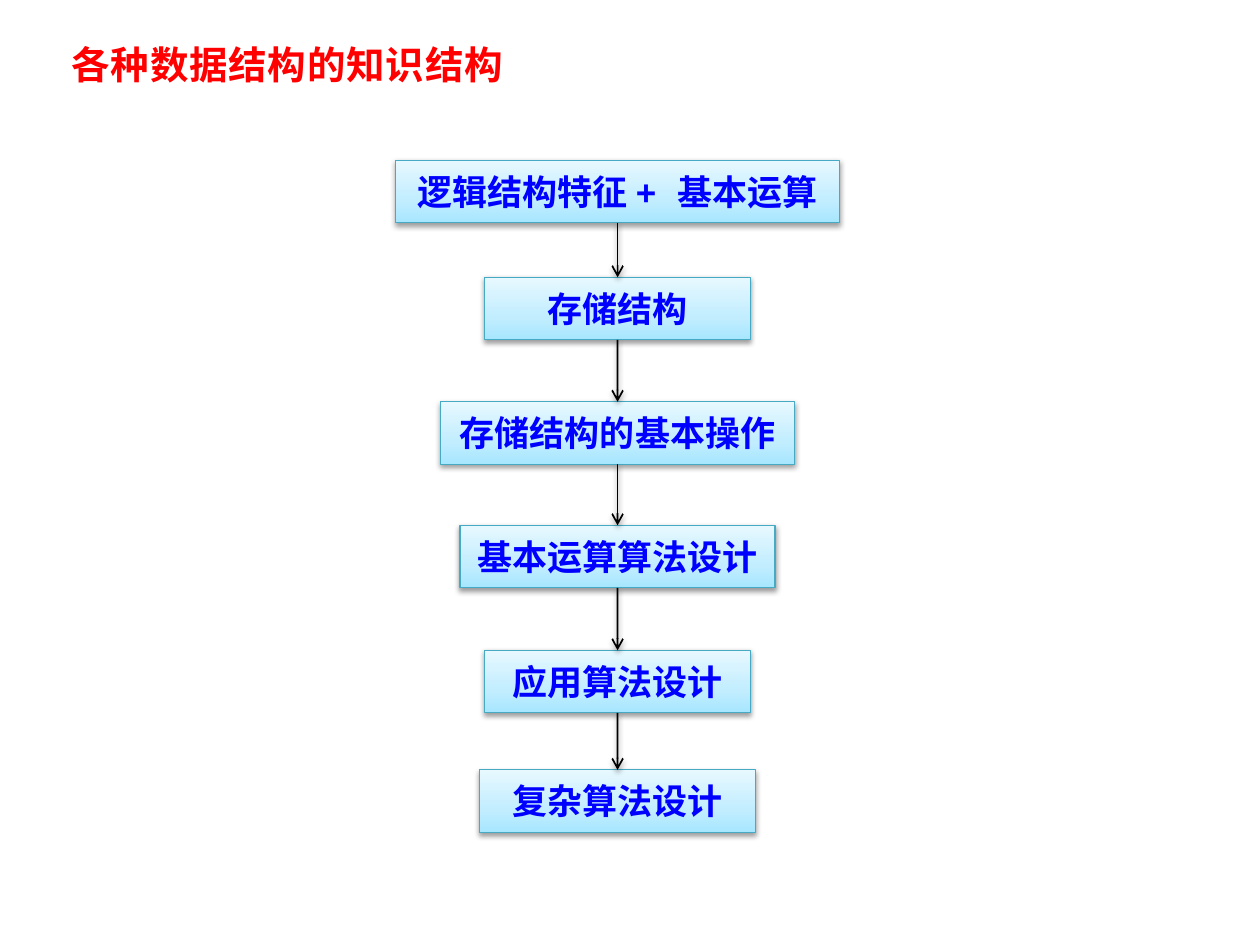
import copy

import pptx
import pptx.util
import pptx.dml.color
import pptx.enum.shapes
import pptx.enum.text
import pptx.oxml
import pptx.oxml.ns

Cm, Pt = pptx.util.Cm, pptx.util.Pt
RGB = pptx.dml.color.RGBColor.from_string
qn = pptx.oxml.ns.qn

COLORS = {
    "title": "FF0000", "text": "0000FF", "edge": "46AAC5", "arrow": "000000",
    "low": "A7E6FF", "mid": "C1EDFF", "high": "E7F8FF",
}
STOPS = [(0, "low"), (0.35, "mid"), (1, "high")]
MID = 12.45
HIGH = 1.26
STEPS = [  # text, top, width
    ("逻辑结构特征 + 基本运算", 3.23, 8.94),
    ("存储结构", 5.59, 5.36),
    ("存储结构的基本操作", 8.1, 7.14),
    ("基本运算算法设计", 10.59, 6.35),
    ("应用算法设计", 13.11, 5.36),
    ("复杂算法设计", 15.52, 5.56),
]


def style(par, size, face, color):
    """Format every run of a paragraph, East Asian face included."""
    for run in par.runs:
        font = run.font
        font.size, font.bold, font.name = Pt(size), True, face
        font.color.rgb = RGB(COLORS[color])
        east = font._element.makeelement(qn("a:ea"), {"typeface": "Noto Sans CJK SC"})
        font._element.append(east)


def shade(shape):
    """Give a shape or connector a soft shadow straight below it."""
    shape._element.spPr.append(pptx.oxml.parse_xml(
        f'<a:effectLst {pptx.oxml.ns.nsdecls("a")}>'
        f'<a:outerShdw blurRad="{Pt(3.1)}" dist="{Pt(1.6)}" dir="5400000" rotWithShape="0">'
        '<a:srgbClr val="000000"><a:alpha val="38000"/></a:srgbClr>'
        '</a:outerShdw></a:effectLst>'))


deck = pptx.Presentation()
deck.slide_width, deck.slide_height = Cm(25.4), Cm(19.05)
slide = deck.slides.add_slide(deck.slide_layouts[5])

title = slide.shapes.title
title.left, title.top, title.width, title.height = Cm(1.19), Cm(0.58), Cm(9.93), Cm(1.24)
frame = title.text_frame
frame.text = "各种数据结构的知识结构"
frame.auto_size = pptx.enum.text.MSO_AUTO_SIZE.NONE
frame.vertical_anchor = pptx.enum.text.MSO_ANCHOR.TOP
par = frame.paragraphs[0]
par.alignment = pptx.enum.text.PP_ALIGN.LEFT
par.line_spacing = Pt(30)
style(par, 22, "Noto Sans CJK SC", "title")
par.runs[0].font._element.set("spc", "50")

boxes = []
for text, top, width in STEPS:
    box = slide.shapes.add_shape(
        pptx.enum.shapes.MSO_SHAPE.RECTANGLE,
        Cm(MID - width / 2), Cm(top), Cm(width), Cm(HIGH))
    box.fill.gradient()
    box.fill.gradient_angle = 90
    stops = box._element.spPr.find(".//" + qn("a:gsLst"))
    stops.append(copy.deepcopy(stops[-1]))
    for stop, (place, color) in zip(box.fill.gradient_stops, STOPS):
        stop.position = place
        stop.color.rgb = RGB(COLORS[color])
    box.line.color.rgb = RGB(COLORS["edge"])
    box.line.width = Pt(0.75)
    shade(box)
    frame = box.text_frame
    frame.text = text
    frame.word_wrap = True
    frame.margin_left = frame.margin_right = Cm(0.25)
    frame.margin_top = frame.margin_bottom = Cm(0.2)
    frame.vertical_anchor = pptx.enum.text.MSO_ANCHOR.TOP
    par = frame.paragraphs[0]
    par.alignment = pptx.enum.text.PP_ALIGN.CENTER
    style(par, 20, "Courier New", "text")
    boxes.append(box)

for upper, lower in zip(boxes, boxes[1:]):
    arrow = slide.shapes.add_connector(
        pptx.enum.shapes.MSO_CONNECTOR.STRAIGHT, 0, 0, 0, 0)
    arrow.begin_connect(upper, 2)
    arrow.end_connect(lower, 0)
    arrow.line.color.rgb = RGB(COLORS["arrow"])
    arrow.line.width = Pt(1)
    line = arrow.line._get_or_add_ln()
    line.append(line.makeelement(qn("a:tailEnd"), {"type": "arrow"}))
    shade(arrow)

deck.save("out.pptx")
